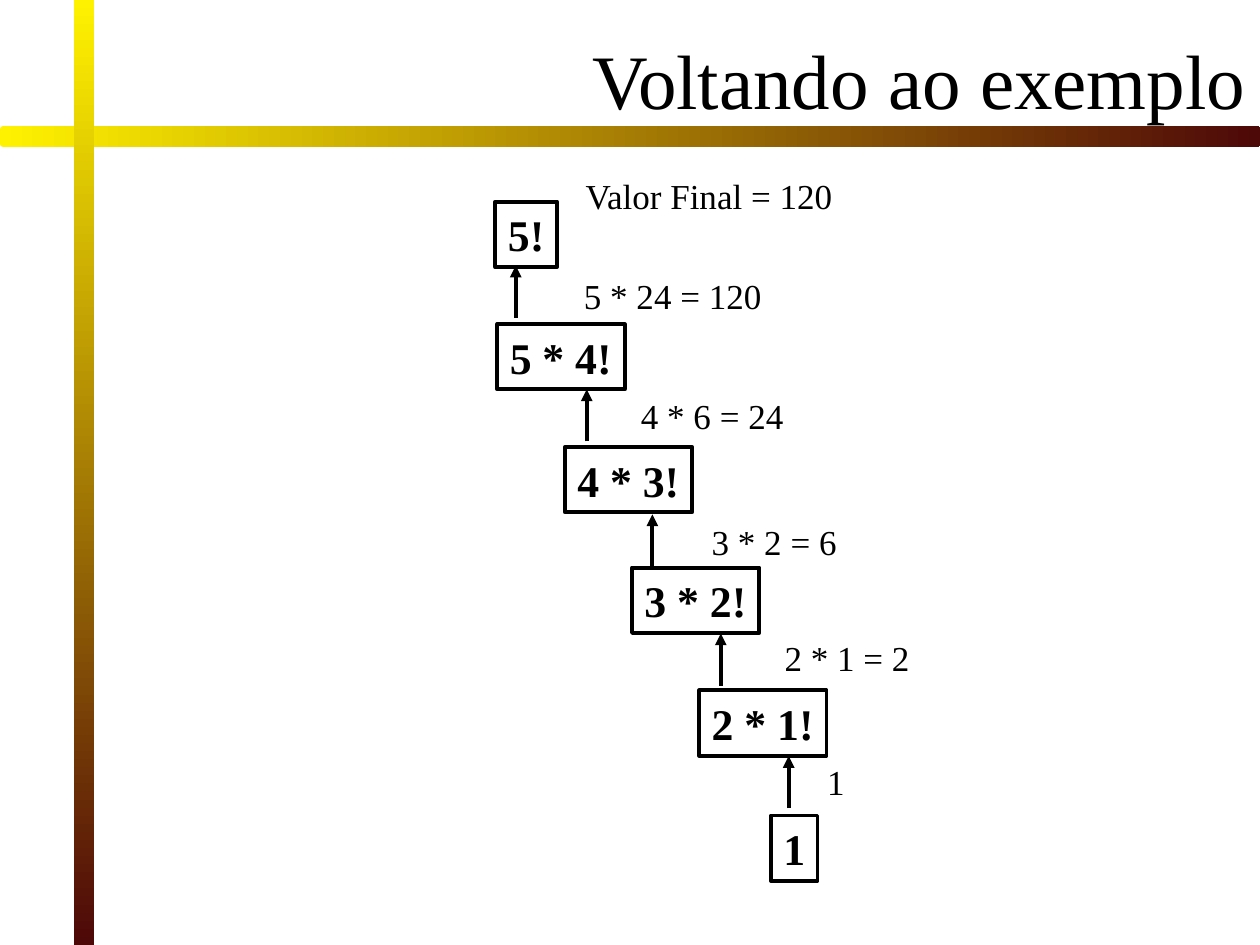
from pptx import Presentation
from pptx.dml.color import RGBColor
from pptx.enum.shapes import MSO_CONNECTOR, MSO_SHAPE
from pptx.enum.text import MSO_ANCHOR, MSO_AUTO_SIZE, PP_ALIGN
from pptx.oxml.ns import qn
from pptx.util import Pt
from lxml import etree

LINE = MSO_CONNECTOR.STRAIGHT
RECT, ROUND = MSO_SHAPE.RECTANGLE, MSO_SHAPE.ROUNDED_RECTANGLE
MIDDLE = MSO_ANCHOR.MIDDLE
GROW, FIXED = MSO_AUTO_SIZE.SHAPE_TO_FIT_TEXT, MSO_AUTO_SIZE.NONE
LEFT, CENTER, RIGHT = PP_ALIGN.LEFT, PP_ALIGN.CENTER, PP_ALIGN.RIGHT
FONT, BLACK, YELLOW, BROWN = "Times New Roman", "000000", "FFF200", "4D0808"
STROKE, RISE = 2.25, 29.8

CALLS = [
    ("5!", 283, 115.2, 35.3, CENTER),
    ("5 * 4!", 284.2, 185.2, 72.7, LEFT),
    ("4 * 3!", 322.8, 255.4, 72.7, LEFT),
    ("3 * 2!", 361.2, 324.3, 72.7, LEFT),
    ("2 * 1!", 399.6, 394.4, 72.7, LEFT),
    ("1", 440.6, 466, 26.6, CENTER),
]
ARROWS = [(294.7, 151.8), (335.3, 222.5), (372.8, 293.9),
          (411.9, 362), (450.7, 432)]
NOTES = [
    ("Valor Final = 120", 327.6, 96, 157.7),
    ("5 * 24 = 120", 326.6, 153.2, 115.9),
    ("4 * 6 = 24", 359.2, 221.8, 95.8),
    ("3 * 2 = 6", 399.6, 293.8, 85.7),
    ("2 * 1 = 2", 441.2, 360, 85.7),
    ("1", 465.6, 430.6, 24.5),
]


def color(code):
    """Turn a hex string into a colour."""
    return RGBColor.from_string(code)


def write(shape, text, size, align, bold=False, fit=GROW):
    """Put one formatted line of text into a shape."""
    frame = shape.text_frame
    frame.text = text
    frame.auto_size = fit
    frame.word_wrap = fit == FIXED
    frame.vertical_anchor = MIDDLE
    line = frame.paragraphs[0]
    line.alignment = align
    font = line.runs[0].font
    font.name, font.size, font.bold = FONT, Pt(size), bold
    font.color.rgb = color(BLACK)


def add_bar(slide, kind, box, angle):
    """Add a bar that fades from yellow to brown."""
    bar = slide.shapes.add_shape(kind, *map(Pt, box))
    bar.shadow.inherit = False
    bar.line.fill.background()
    bar.fill.gradient()
    bar.fill.gradient_angle = angle
    for stop, code in zip(bar.fill.gradient_stops, (YELLOW, BROWN)):
        stop.color.rgb = color(code)


def add_title(slide, text):
    """Place the title in front of the bars."""
    title = slide.shapes.title
    title.left, title.top = Pt(107.2), Pt(0)
    title.width, title.height = Pt(612), Pt(90)
    write(title, text, 44, RIGHT, fit=FIXED)
    title.element.getparent().append(title.element)


def add_call(slide, text, left, top, width, align):
    """Add a framed factorial call."""
    box = slide.shapes.add_shape(RECT, Pt(left), Pt(top), Pt(width), Pt(37.4))
    box.shadow.inherit = False
    box.fill.background()
    box.line.color.rgb = color(BLACK)
    box.line.width = Pt(STROKE)
    write(box, text, 25, align, bold=True)


def add_arrow(slide, left, top):
    """Add an arrow that points up to a call."""
    arrow = slide.shapes.add_connector(
        LINE, Pt(left), Pt(top + RISE), Pt(left), Pt(top))
    arrow.line.color.rgb = color(BLACK)
    arrow.line.width = Pt(STROKE)
    props = arrow.element.spPr
    etree.SubElement(props.find(qn("a:ln")), qn("a:tailEnd"), type="triangle")
    etree.SubElement(props, qn("a:effectLst"))


def add_note(slide, text, left, top, width):
    """Add a returned value beside an arrow."""
    note = slide.shapes.add_textbox(Pt(left), Pt(top), Pt(width), Pt(31.7))
    write(note, text, 20, LEFT)


def main():
    """Build the slide and save it."""
    deck = Presentation()
    deck.slide_width, deck.slide_height = Pt(720), Pt(540)
    slide = deck.slides.add_slide(deck.slide_layouts[5])
    add_bar(slide, ROUND, (0, 72, 720, 12), 0)
    add_bar(slide, RECT, (42, 0, 12, 540), 270)
    add_title(slide, "Voltando ao exemplo")
    for call in CALLS:
        add_call(slide, *call)
    for arrow in ARROWS:
        add_arrow(slide, *arrow)
    for note in NOTES:
        add_note(slide, *note)
    deck.save("out.pptx")


if __name__ == "__main__":
    main()
